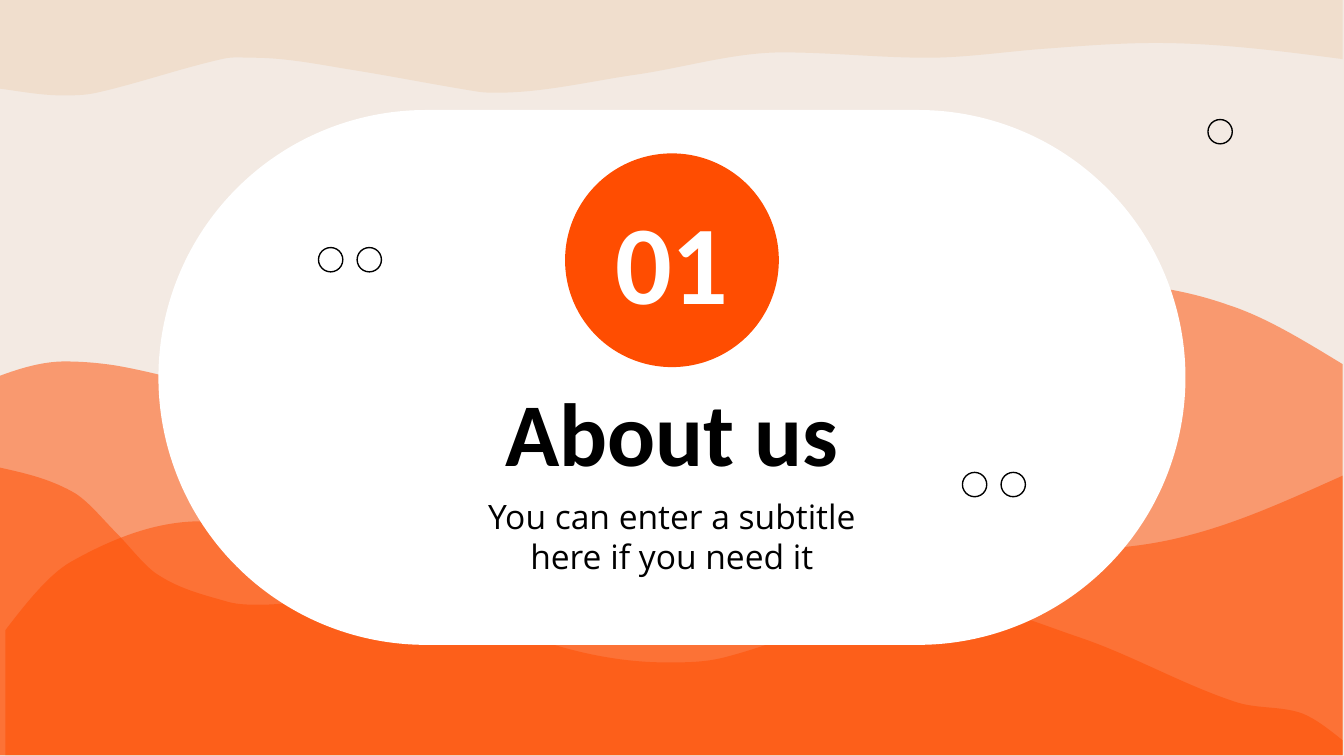
from lxml.etree import SubElement
from pptx import Presentation
from pptx.dml.color import RGBColor
from pptx.enum.shapes import MSO_SHAPE
from pptx.enum.text import MSO_ANCHOR, PP_ALIGN
from pptx.oxml.ns import qn
from pptx.util import Cm, Pt

COLORS = {
    "background": "F3EAE3",
    "sand": "F0DECD",
    "orange": "FF4D01",
    "white": "FFFFFF",
    "black": "000000",
}
PAGE_WIDTH, PAGE_HEIGHT = 25.4, 14.29
WAVE_UNIT = Cm(0.0254)
WAVE_TOP, WAVE_BOTTOM = 0, 562
WAVE_OPACITY = 51
RING_SIZE, RING_STEP = 0.46, 0.73

TOP_CREST = [(0, 66), (46, 71), (72, 69), (165, 44), (188, 43), (262, 52), (354, 68),
             (370, 69), (470, 56), (582, 39), (690, 43), (781, 36), (860, 32), (999, 44)]
ORANGE_CRESTS = {
    "back": [(-1, 280), (48, 269), (86, 272), (174, 292), (193, 293), (307, 271),
             (419, 249), (440, 251), (559, 277), (573, 278), (683, 251), (796, 212),
             (820, 211), (914, 227), (999, 271)],
    "middle": [(0, 348), (54, 366), (87, 397), (118, 428), (170, 448), (193, 450),
               (281, 431), (404, 365), (536, 335), (571, 338), (745, 404), (798, 409),
               (886, 398), (999, 354)],
    "front": [(4, 469), (53, 418), (149, 388), (163, 388), (288, 419), (394, 474),
              (496, 493), (540, 489), (665, 447), (689, 445), (802, 474), (918, 522),
              (969, 531), (999, 551)],
}


def color(name):
    return RGBColor.from_string(COLORS[name])


def style(shape, fill=None, line=None):
    shape.shadow.inherit = False
    if fill:
        shape.fill.solid()
        shape.fill.fore_color.rgb = color(fill)
    else:
        shape.fill.background()
    if line:
        shape.line.color.rgb = color(line)
        shape.line.width = Pt(0.75)
    else:
        shape.line.fill.background()


def secant(start, end):
    return (end[1] - start[1]) / (end[0] - start[0])


def crest_slopes(crest):
    inner = []
    for before, here, after in zip(crest, crest[1:], crest[2:]):
        is_peak = secant(before, here) * secant(here, after) <= 0
        inner.append(0 if is_peak else secant(before, after))
    first = 1.5 * secant(crest[0], crest[1]) - 0.5 * inner[0]
    last = 1.5 * secant(crest[-2], crest[-1]) - 0.5 * inner[-1]
    return [first, *inner, last]


def curve_points(crest):
    slopes = crest_slopes(crest)
    points = []
    for start, end, slope_in, slope_out in zip(crest, crest[1:], slopes, slopes[1:]):
        third = (end[0] - start[0]) / 3
        points += [
            (start[0] + third, start[1] + slope_in * third),
            (end[0] - third, end[1] - slope_out * third),
            end,
        ]
    return points


def bend_segments(shape, curve_count):
    segments = list(shape.element.iter(qn("a:lnTo")))
    for index in range(curve_count):
        curve, *others = segments[3 * index:3 * index + 3]
        curve.tag = qn("a:cubicBezTo")
        for segment in others:
            curve.append(segment[0])
            segment.getparent().remove(segment)


def add_wave(page, crest, edge, fill, opacity=None):
    corners = [(crest[-1][0], edge), (crest[0][0], edge)]
    builder = page.shapes.build_freeform(*crest[0], scale=WAVE_UNIT)
    builder.add_line_segments(curve_points(crest) + corners, close=True)
    wave = builder.convert_to_shape()
    bend_segments(wave, len(crest) - 1)
    style(wave, fill)
    if opacity:
        fill_color = next(wave.element.spPr.iter(qn("a:srgbClr")))
        SubElement(fill_color, qn("a:alpha")).set("val", str(opacity * 1000))


def centered(width):
    return Cm((PAGE_WIDTH - width) / 2)


def add_centered_shape(page, kind, top, width, height, fill):
    shape = page.shapes.add_shape(kind, centered(width), Cm(top), Cm(width), Cm(height))
    style(shape, fill)
    return shape


def add_centered_text(page, text, top, width, height, font, size, ink, anchor, bold=False):
    box = page.shapes.add_textbox(centered(width), Cm(top), Cm(width), Cm(height))
    frame = box.text_frame
    frame.word_wrap = True
    frame.vertical_anchor = anchor
    frame.margin_left = frame.margin_right = Cm(0.25)
    frame.margin_top = frame.margin_bottom = Cm(0.25)
    frame.text = text
    para = frame.paragraphs[0]
    para.alignment = PP_ALIGN.CENTER
    span = para.runs[0]
    span.font.name = font
    span.font.size = Pt(size)
    span.font.bold = bold
    span.font.color.rgb = color(ink)


def add_rings(page, left, top, count):
    for index in range(count):
        ring = page.shapes.add_shape(MSO_SHAPE.OVAL, Cm(left + index * RING_STEP), Cm(top),
                                     Cm(RING_SIZE), Cm(RING_SIZE))
        style(ring, line="black")


def main():
    deck = Presentation()
    deck.slide_width = Cm(PAGE_WIDTH)
    deck.slide_height = Cm(PAGE_HEIGHT)
    page = deck.slides.add_slide(deck.slide_layouts[6])
    page.background.fill.solid()
    page.background.fill.fore_color.rgb = color("background")

    for crest in ORANGE_CRESTS.values():
        add_wave(page, crest, WAVE_BOTTOM, "orange", WAVE_OPACITY)
    add_wave(page, TOP_CREST, WAVE_TOP, "sand")

    panel = add_centered_shape(page, MSO_SHAPE.ROUNDED_RECTANGLE, 2.08, 19.41, 10.11, "white")
    panel.adjustments[0] = 0.5
    add_centered_text(page, "About us", 6.83, 8.53, 2.57, "Calibri", 48, "black",
                      MSO_ANCHOR.BOTTOM, bold=True)
    add_centered_text(page, "You can enter a subtitle here if you need it", 9.12, 8.53, 2.06,
                      "Open Sans", 18, "black", MSO_ANCHOR.TOP)
    add_centered_shape(page, MSO_SHAPE.OVAL, 2.9, 4.04, 4.04, "orange")
    add_centered_text(page, "01", 3.64, 3.48, 2.54, "Calibri", 60, "white",
                      MSO_ANCHOR.MIDDLE, bold=True)

    add_rings(page, 6.02, 4.68, count=2)
    add_rings(page, 18.19, 8.93, count=2)
    add_rings(page, 22.83, 2.26, count=1)

    deck.save("out.pptx")


if __name__ == "__main__":
    main()
